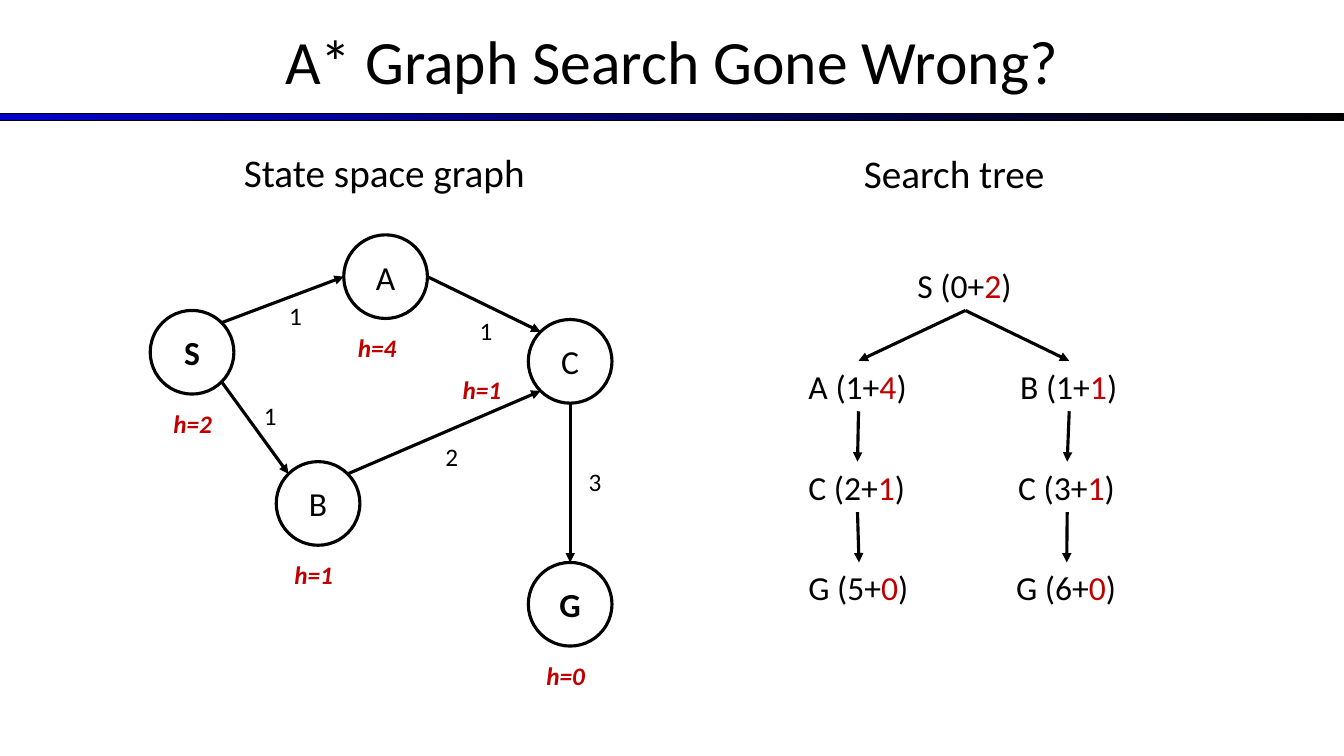
from math import cos, radians, sin

from lxml.etree import SubElement
from pptx import Presentation
from pptx.dml.color import RGBColor
from pptx.enum.shapes import MSO_CONNECTOR as Connector, MSO_SHAPE as Shape
from pptx.enum.text import MSO_ANCHOR as Anchor, MSO_AUTO_SIZE as AutoSize, PP_ALIGN as Align
from pptx.oxml.ns import qn
from pptx.util import Inches, Pt

BLACK, WHITE, RED, BLUE = "000000", "FFFFFF", "C00000", "0000CC"
FONT = "Calibri"
NODE_SIZE = 0.83

# name: (left, top, bold, heuristic, heuristic left, heuristic top)
NODES = {
    "S": (0, 0.75, True, "h=2", 0.13, 1.67),
    "A": (1.92, 0, False, "h=4", 1.96, 0.92),
    "B": (1.25, 2.25, False, "h=1", 1.33, 3.17),
    "C": (3.75, 0.84, False, "h=1", 3.0, 1.33),
    "G": (3.75, 3.25, True, "h=0", 3.83, 4.17),
}
# start, angle on start, end, angle on end, cost, cost left, cost top
EDGES = [
    ("S", -45, "A", 180, "1", 1.28, 0.6),
    ("S", 45, "B", 225, "1", 1.03, 1.59),
    ("B", -45, "C", 135, "2", 2.83, 2.0),
    ("A", 0, "C", 225, "1", 3.17, 0.75),
    ("C", 90, "G", -90, "3", 4.25, 2.25),
]
# key: (parent, left, row, width, path cost text, heuristic)
TREE = {
    "S": (None, 1.08, 0, 1.15, "S (0+", "2"),
    "SA": ("S", 0, 1, 1.19, "A (1+", "4"),
    "SB": ("S", 2.1, 1, 1.17, "B (1+", "1"),
    "SAC": ("SA", 0, 2, 1.17, "C (2+", "1"),
    "SBC": ("SB", 2.08, 2, 1.17, "C (3+", "1"),
    "SACG": ("SAC", 0, 3, 1.2, "G (5+", "0"),
    "SBCG": ("SBC", 2.06, 3, 1.2, "G (6+", "0"),
}


def color(hex_text):
    return RGBColor.from_string(hex_text)


def add_run(paragraph, text, size, hex_text=BLACK, bold=False, italic=False):
    run = paragraph.add_run()
    run.text = text
    font = run.font
    font.name, font.size, font.bold, font.italic = FONT, Pt(size), bold, italic
    font.color.rgb = color(hex_text)


def add_label(slide, left, top, width, height, size, runs, **style):
    """Add a one-line text box; runs is a list of (text, colour)."""
    label = slide.shapes.add_textbox(Inches(left), Inches(top), Inches(width), Inches(height))
    frame = label.text_frame
    frame.word_wrap = False
    frame.auto_size = AutoSize.SHAPE_TO_FIT_TEXT
    for text, hex_text in runs:
        add_run(frame.paragraphs[0], text, size, hex_text, **style)
    return label


def add_arrow(slide, start=(0, 0), end=(0, 0)):
    points = [Inches(value) for value in (*start, *end)]
    arrow = slide.shapes.add_connector(Connector.STRAIGHT, *points)
    arrow.line.color.rgb = color(BLACK)
    arrow.line.width = Pt(2.25)
    SubElement(arrow.line._get_or_add_ln(), qn("a:tailEnd"), type="triangle")
    SubElement(arrow._element.spPr, qn("a:effectLst"))
    return arrow


def add_header(slide, width):
    bar = slide.shapes.add_shape(Shape.RECTANGLE, 0, Inches(1.13), Inches(width), Inches(0.07))
    bar.shadow.inherit = False
    bar.fill.gradient()
    bar.fill.gradient_angle = 0
    for stop, hex_text in zip(bar.fill.gradient_stops, (BLUE, BLACK)):
        stop.color.rgb = color(hex_text)
    bar.line.color.rgb = color(BLACK)
    bar.line.width = Pt(0.75)

    title = slide.shapes.title
    title.left, title.top = 0, Inches(-0.03)
    title.width, title.height = Inches(width), Inches(1.25)
    title.text_frame.vertical_anchor = Anchor.MIDDLE
    paragraph = title.text_frame.paragraphs[0]
    paragraph.alignment = Align.CENTER
    add_run(paragraph, "A* Graph Search Gone Wrong?", 44)


def add_node(slide, name, left, top, bold):
    size = Inches(NODE_SIZE)
    node = slide.shapes.add_shape(Shape.OVAL, Inches(left), Inches(top), size, size)
    node.shadow.inherit = False
    node.fill.solid()
    node.fill.fore_color.rgb = color(WHITE)
    node.line.color.rgb = color(BLACK)
    node.line.width = Pt(2.25)
    frame = node.text_frame
    frame.vertical_anchor = Anchor.MIDDLE
    frame.paragraphs[0].alignment = Align.CENTER
    add_run(frame.paragraphs[0], name, 24, bold=bold)


def add_state_graph(slide, left, top):
    def rim_point(name, angle):
        """Return the point on a node's circle, clockwise from the right."""
        radius = NODE_SIZE / 2
        node_left, node_top = NODES[name][:2]
        return (left + node_left + radius * (1 + cos(radians(angle))),
                top + node_top + radius * (1 + sin(radians(angle))))

    add_label(slide, left + 0.83, top - 0.91, 3.02, 0.57, 28, [("State space graph", BLACK)])
    for name, (x, y, bold, heuristic, label_x, label_y) in NODES.items():
        add_node(slide, name, left + x, top + y, bold)
        add_label(slide, left + label_x, top + label_y, 0.65, 0.4, 18,
                  [(heuristic, RED)], bold=True, italic=True)
    for start, start_angle, end, end_angle, cost, x, y in EDGES:
        add_arrow(slide, rim_point(start, start_angle), rim_point(end, end_angle))
        add_label(slide, left + x, top + y, 0.34, 0.4, 18, [(cost, BLACK)])


def add_search_tree(slide, left, top):
    add_label(slide, left + 0.55, top - 1.15, 2.01, 0.57, 28, [("Search tree", BLACK)])
    boxes = {}
    for key, (parent, x, row, width, path_cost, heuristic) in TREE.items():
        runs = [(path_cost, BLACK), (heuristic, RED), (")", BLACK)]
        boxes[key] = add_label(slide, left + x, top + row, width, 0.5, 24, runs)
        if parent:
            arrow = add_arrow(slide)
            arrow.begin_connect(boxes[parent], 2)
            arrow.end_connect(boxes[key], 0)


def main():
    presentation = Presentation()
    presentation.slide_width, presentation.slide_height = Inches(13.33), Inches(7.5)
    slide = presentation.slides.add_slide(presentation.slide_layouts[5])
    add_header(slide, 13.33)
    add_state_graph(slide, 1.49, 2.33)
    add_search_tree(slide, 7.92, 2.58)
    presentation.save("out.pptx")


if __name__ == "__main__":
    main()
